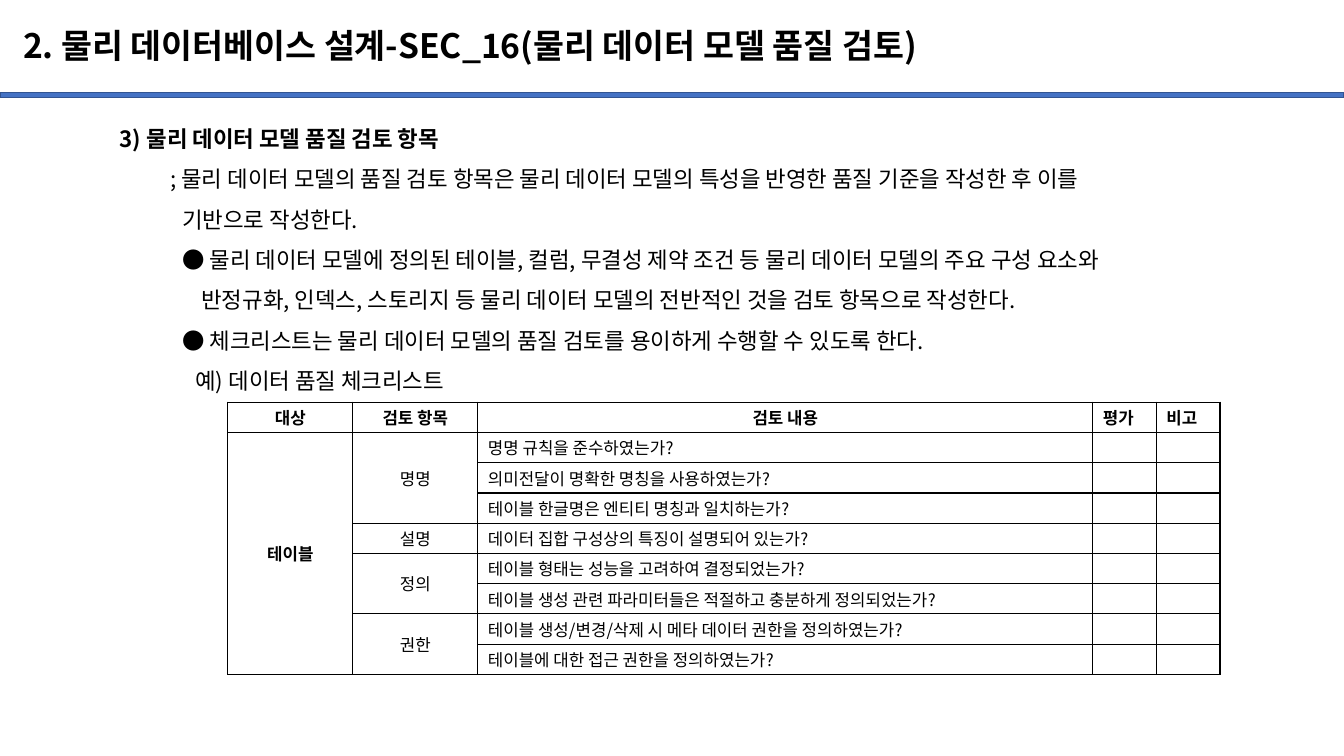
from lxml.etree import SubElement
from pptx import Presentation
from pptx.dml.color import RGBColor
from pptx.enum.shapes import MSO_SHAPE
from pptx.enum.text import MSO_ANCHOR as ANCHOR, PP_ALIGN as ALIGN
from pptx.oxml.ns import qn
from pptx.util import Pt

PX = 9144
FONT = "Noto Sans CJK KR"
BLACK = RGBColor(0x00, 0x00, 0x00)
BLUE = RGBColor(0x44, 0x72, 0xC4)
NAVY = RGBColor(0x32, 0x54, 0x91)

TITLE = "2. 물리 데이터베이스 설계-SEC_16(물리 데이터 모델 품질 검토)"
HEADING = "3) 물리 데이터 모델 품질 검토 항목"
BODY = [
    (50, "; 물리 데이터 모델의 품질 검토 항목은 물리 데이터 모델의 특성을 반영한 품질 기준을 작성한 후 이를"),
    (62, "기반으로 작성한다."),
    (62, "● 물리 데이터 모델에 정의된 테이블, 컬럼, 무결성 제약 조건 등 물리 데이터 모델의 주요 구성 요소와"),
    (81, "반정규화, 인덱스, 스토리지 등 물리 데이터 모델의 전반적인 것을 검토 항목으로 작성한다."),
    (62, "● 체크리스트는 물리 데이터 모델의 품질 검토를 용이하게 수행할 수 있도록 한다."),
    (75, "예) 데이터 품질 체크리스트"),
]
HEADERS = ["대상", "검토 항목", "검토 내용", "평가", "비고"]
COL_WIDTHS = [124, 124, 610, 63, 63]
TARGET = "테이블"
CHECKS = [
    ("명명", ["명명 규칙을 준수하였는가?",
            "의미전달이 명확한 명칭을 사용하였는가?",
            "테이블 한글명은 엔티티 명칭과 일치하는가?"]),
    ("설명", ["데이터 집합 구성상의 특징이 설명되어 있는가?"]),
    ("정의", ["테이블 형태는 성능을 고려하여 결정되었는가?",
            "테이블 생성 관련 파라미터들은 적절하고 충분하게 정의되었는가?"]),
    ("권한", ["테이블 생성/변경/삭제 시 메타 데이터 권한을 정의하였는가?",
            "테이블에 대한 접근 권한을 정의하였는가?"]),
]


def px(*lengths):
    """Turn px lengths into EMU."""
    return [length * PX for length in lengths]


def add_run(p, text, size, bold=False):
    """Add one run in the slide font."""
    r = p.add_run()
    r.text = text
    r.font.size = Pt(size)
    r.font.bold = bold
    r.font.color.rgb = BLACK
    r.font.name = FONT
    SubElement(r.font._element, qn("a:ea"), typeface=FONT)


def add_textbox(s, box):
    """Add a wrapping text box and return its frame."""
    tf = s.shapes.add_textbox(*px(*box)).text_frame
    tf.word_wrap = True
    return tf


def add_header(s, x, y, w, h):
    """Place the title and the rule below it."""
    tf = add_textbox(s, (x + 13, y + 10, w - 65, 74))
    tf.vertical_anchor = ANCHOR.MIDDLE
    p = tf.paragraphs[0]
    p.line_spacing = 0.9
    add_run(p, TITLE, 24, True)
    rule = s.shapes.add_shape(MSO_SHAPE.RECTANGLE, *px(x, y + h - 5, w, 5))
    rule.shadow.inherit = False
    rule.fill.solid()
    rule.fill.fore_color.rgb = BLUE
    rule.line.color.rgb = NAVY
    rule.line.width = Pt(1)


def add_body(s, x, y, w, h):
    """Place the heading and its indented lines."""
    tf = add_textbox(s, (x, y, w, h))
    for i, (indent, text) in enumerate([(0, HEADING)] + BODY):
        p = tf.add_paragraph() if i else tf.paragraphs[0]
        p.line_spacing = Pt(28.8)
        p._p.get_or_add_pPr().set("marL", str(indent * PX))
        add_run(p, text, 16, bold=i == 0)


def style_cell(cell):
    """Give a cell black borders, no fill and tight margins."""
    cell.margin_top = cell.margin_bottom = 2 * PX
    cell.vertical_anchor = ANCHOR.MIDDLE
    tc_pr = cell._tc.get_or_add_tcPr()
    for side in ("lnL", "lnR", "lnT", "lnB"):
        ln = SubElement(tc_pr, qn(f"a:{side}"), w=str(Pt(1)))
        fill = SubElement(ln, qn("a:solidFill"))
        SubElement(fill, qn("a:srgbClr"), val=str(BLACK))
    cell.fill.background()
    SubElement(cell.text_frame.paragraphs[0]._p, qn("a:endParaRPr"), sz="1200")


def fill_cell(cell, text, bold=False, align=ALIGN.CENTER):
    """Write the text of a cell."""
    p = cell.text_frame.paragraphs[0]
    p.alignment = align
    add_run(p, text, 12, bold)


def add_checklist(s, x, y, w, h):
    """Place the quality checklist table."""
    n_rows = 1 + sum(len(questions) for _, questions in CHECKS)
    table = s.shapes.add_table(n_rows, len(HEADERS), *px(x, y, w, h)).table
    table.first_row = table.horz_banding = False
    for col, width in zip(table.columns, COL_WIDTHS):
        col.width = width * PX
    for row in table.rows:
        row.height = h * PX // n_rows
    for cell in table.iter_cells():
        style_cell(cell)
    for c, text in enumerate(HEADERS):
        fill_cell(table.cell(0, c), text, True, ALIGN.CENTER if c < 3 else ALIGN.LEFT)
    table.cell(1, 0).merge(table.cell(n_rows - 1, 0))
    fill_cell(table.cell(1, 0), TARGET, True)
    top = 1
    for item, questions in CHECKS:
        if len(questions) > 1:
            table.cell(top, 1).merge(table.cell(top + len(questions) - 1, 1))
        fill_cell(table.cell(top, 1), item)
        for r, question in enumerate(questions, top):
            fill_cell(table.cell(r, 2), question, align=ALIGN.LEFT)
        top += len(questions)


def main():
    """Build and save the slide."""
    prs = Presentation()
    prs.slide_width, prs.slide_height = px(1333, 750)
    s = prs.slides.add_slide(prs.slide_layouts[6])
    add_header(s, 0, 0, 1333, 97)
    add_body(s, 109, 106, 1203, 293)
    add_checklist(s, 226, 399, sum(COL_WIDTHS), 270)
    prs.save("out.pptx")


if __name__ == "__main__":
    main()
